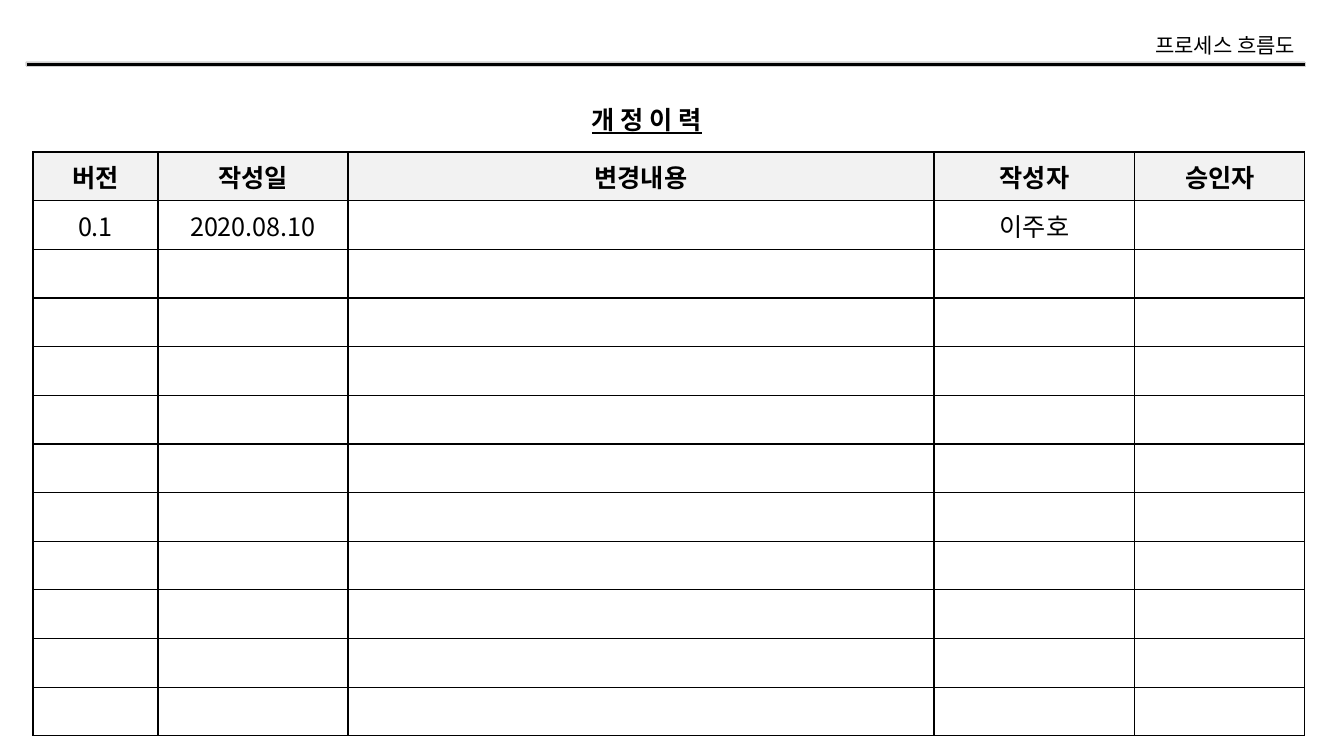
"""Build the revision history slide."""
from pptx import Presentation
from pptx import util as u
from pptx.dml.color import RGBColor
from pptx.enum import shapes, text
from pptx.oxml import ns, xmlchemy

SCALE = 914400 / 100.8
FONT = "Noto Sans CJK KR"
BLACK = "000000"
COLUMN_WIDTHS = [125, 190, 586, 201, 170]
ROW_COUNT = 12
HEADINGS = ["버전", "작성일", "변경내용", "작성자", "승인자"]
FIRST_REVISION = ["0.1", "2020.08.10", "", "이주호", ""]


def px(pixels):
    """Turn pixels into EMU."""
    return u.Emu(round(pixels * SCALE))


def color(value):
    """Turn a hex string into a colour."""
    return RGBColor.from_string(value)


def add_child(parent, tag, **attributes):
    """Append an XML element with attributes and return it."""
    child = xmlchemy.OxmlElement(tag)
    for name, value in attributes.items():
        child.set(name, value)
    parent.append(child)
    return child


def write(frame, words, size, align, bold=False, underline=False):
    """Write one styled paragraph into a text frame."""
    paragraph = frame.paragraphs[0]
    paragraph.text = words
    paragraph.alignment = align
    font = paragraph.font
    font.name, font.size, font.bold = FONT, u.Pt(size), bold
    font.underline = underline
    font.color.rgb = color(BLACK)
    defaults = paragraph._p.pPr.find(ns.qn("a:defRPr"))
    latin = defaults.find(ns.qn("a:latin"))
    latin.addnext(add_child(defaults, "a:ea", typeface=FONT))


def add_label(page, words, left, top, width, height, size, align, wrap=True, **style):
    """Add a text box with one line of text."""
    box = page.shapes.add_textbox(px(left), px(top), px(width), px(height))
    box.text_frame.word_wrap = wrap
    write(box.text_frame, words, size, align, **style)


def add_header_rule(page):
    """Add the thick bar under the page header."""
    bar = page.shapes.add_shape(
        shapes.MSO_SHAPE.RECTANGLE, px(26), px(62), px(1279), px(4))
    bar.shadow.inherit = False
    bar.fill.solid()
    bar.fill.fore_color.rgb = color(BLACK)
    bar.line.color.rgb = color("D0CECE")
    bar.line.width = u.Pt(0.3)


def set_borders(cell):
    """Draw a thin black line on each side of a cell."""
    properties = cell._tc.get_or_add_tcPr()
    for index, side in enumerate(["a:lnL", "a:lnR", "a:lnT", "a:lnB"]):
        line = xmlchemy.OxmlElement(side)
        line.set("w", str(u.Pt(1)))
        fill = add_child(line, "a:solidFill")
        add_child(fill, "a:srgbClr", val=BLACK)
        properties.insert(index, line)


def add_revision_table(page):
    """Add the revision table with its heading row and empty rows."""
    table = page.shapes.add_table(
        ROW_COUNT, len(COLUMN_WIDTHS), px(33), px(152),
        px(sum(COLUMN_WIDTHS)), px(584)).table
    for column, width in zip(table.columns, COLUMN_WIDTHS):
        column.width = px(width)
    blank = [""] * len(COLUMN_WIDTHS)
    rows = [HEADINGS, FIRST_REVISION] + [blank] * (ROW_COUNT - 2)
    for row, entries in enumerate(rows):
        heading = row == 0
        for column, entry in enumerate(entries):
            cell = table.cell(row, column)
            cell.vertical_anchor = text.MSO_ANCHOR.MIDDLE
            if heading:
                cell.fill.solid()
                cell.fill.fore_color.rgb = color("F2F2F2")
            else:
                cell.fill.background()
            set_borders(cell)
            write(cell.text_frame, entry, 18, text.PP_ALIGN.CENTER, bold=heading)


def main():
    """Build and save the deck."""
    deck = Presentation()
    deck.slide_width, deck.slide_height = px(1344), px(756)
    page = deck.slides.add_slide(deck.slide_layouts[6])
    add_header_rule(page)
    add_label(page, "프로세스 흐름도", 1129, 28, 176, 35, 15,
              text.PP_ALIGN.RIGHT, wrap=False)
    add_label(page, "개 정 이 력", 582, 99, 168, 40, 18,
              text.PP_ALIGN.LEFT, bold=True, underline=True)
    add_revision_table(page)
    deck.save("out.pptx")


main()
